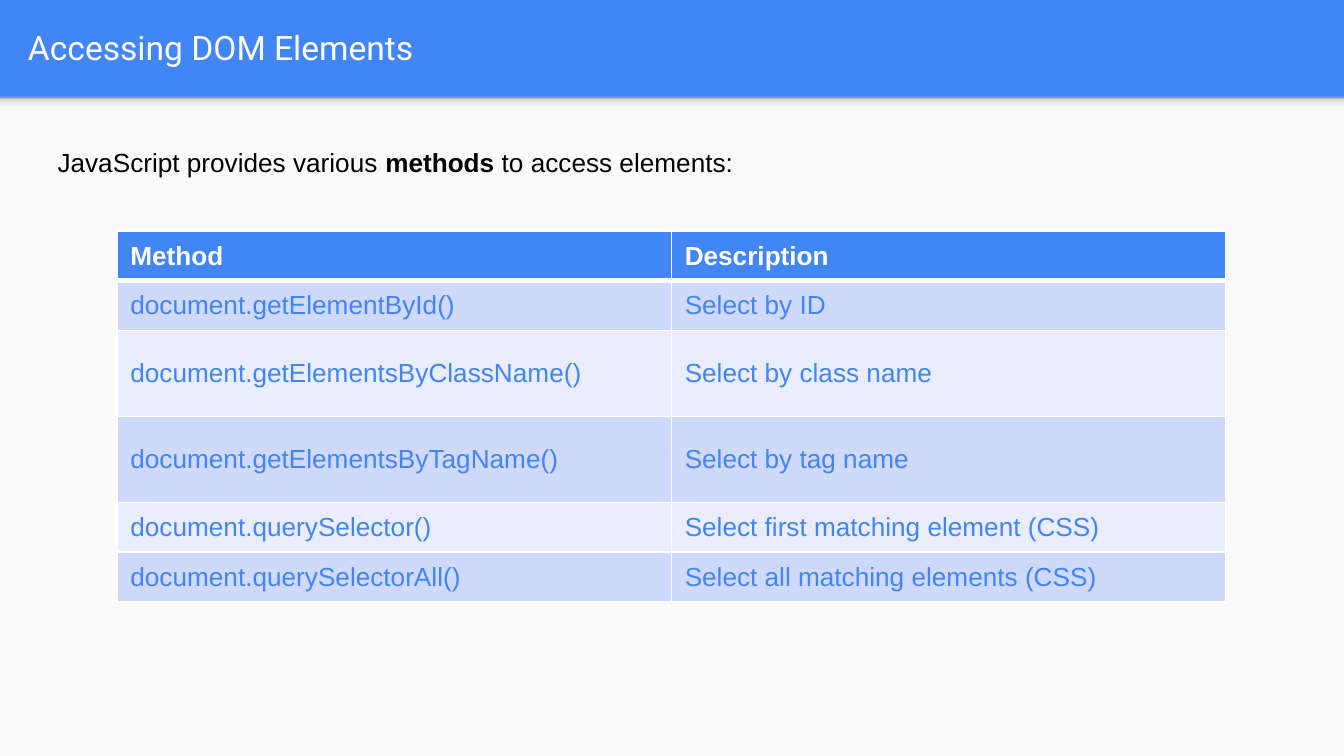
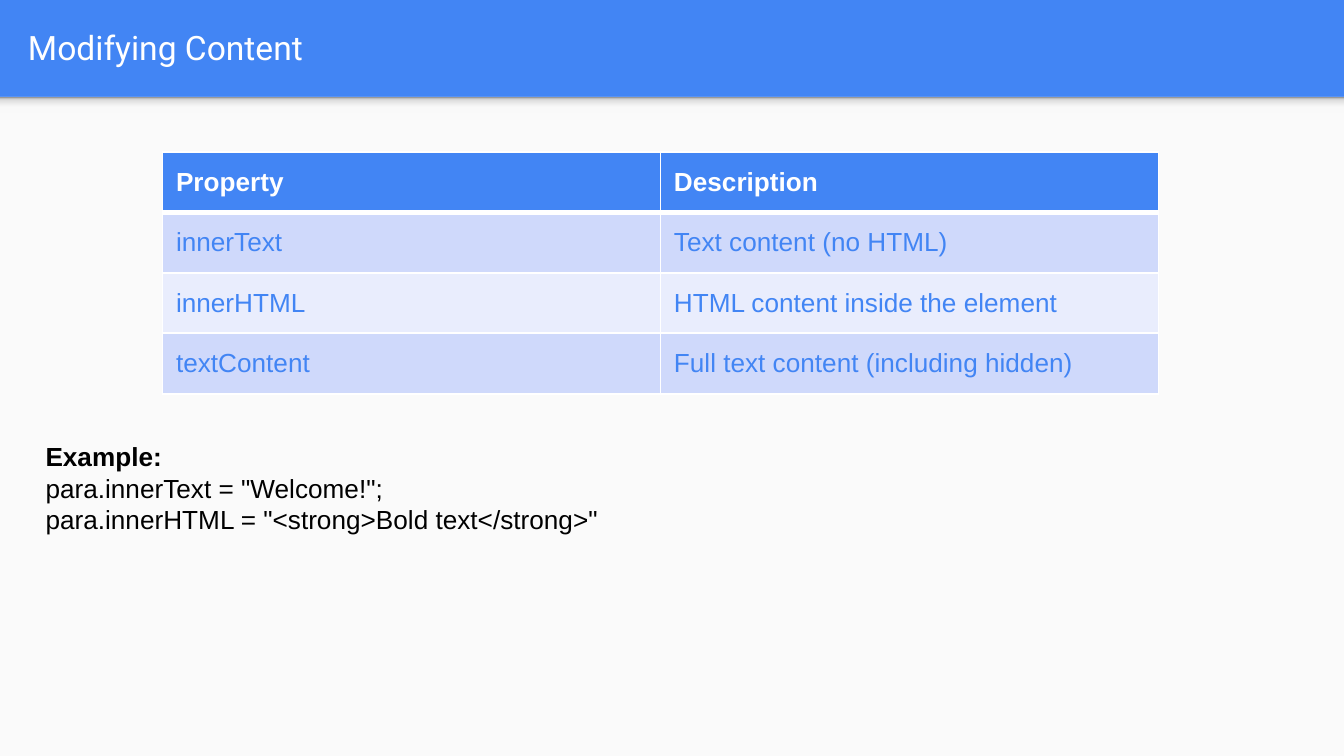
from lxml.etree import SubElement
from pptx import Presentation
from pptx.dml.color import RGBColor
from pptx.enum.shapes import MSO_SHAPE
from pptx.enum.text import MSO_ANCHOR
from pptx.oxml import parse_xml
from pptx.oxml.ns import nsdecls, qn
from pptx.util import Inches, Pt

BLUE = RGBColor(0x42, 0x85, 0xF4)
PAPER = RGBColor(0xFA, 0xFA, 0xFA)
WHITE = RGBColor(0xFF, 0xFF, 0xFF)
BLACK = RGBColor(0, 0, 0)
BAND_DARK = RGBColor(0xCF, 0xD9, 0xFB)
BAND_LIGHT = RGBColor(0xE9, 0xED, 0xFD)
SHADE = [(0, "F9F9F9"), (36, "F9F9F9"), (80, "DEDEDE"), (100, "999999")]

WIDTH = 10
HEIGHT = WIDTH * 9 / 16
HEADER = 0.72
BODY_FONT, TITLE_FONT = "Arial", "Roboto"

SLIDES = [
    {
        "title": "Accessing DOM Elements",
        "text_at": (0.33, 1.04, 9.34, 0.4),
        "text": [[("JavaScript provides various ", False), ("methods", True),
                  (" to access elements:", False)]],
        "table_at": (0.87, 1.72, 8.25),
        "row_heights": [0.37, 0.37, 0.64, 0.64, 0.37, 0.37],
        "rows": [
            ("Method", "Description"),
            ("document.getElementById()", "Select by ID"),
            ("document.getElementsByClassName()", "Select by class name"),
            ("document.getElementsByTagName()", "Select by tag name"),
            ("document.querySelector()", "Select first matching element (CSS)"),
            ("document.querySelectorAll()", "Select all matching elements (CSS)"),
        ],
    },
    {
        "title": "Modifying Content",
        "text_at": (0.24, 3.23, 9.35, 1.06),
        "text": [
            [("Example:", True)],
            [('para.innerText = "Welcome!";', False)],
            [('para.innerHTML = "<strong>Bold text</strong>"', False)],
        ],
        "table_at": (1.21, 1.13, 7.41),
        "row_heights": [0.45] * 4,
        "rows": [
            ("Property", "Description"),
            ("innerText", "Text content (no HTML)"),
            ("innerHTML", "HTML content inside the element"),
            ("textContent", "Full text content (including hidden)"),
        ],
    },
]


def add_run(p, text, color, size=14, font=BODY_FONT, bold=False):
    r = p.add_run()
    r.text = text
    r.font.name = font
    r.font.size = Pt(size)
    r.font.bold = bold
    r.font.color.rgb = color


def add_rect(slide, top, height):
    sp = slide.shapes.add_shape(MSO_SHAPE.RECTANGLE, 0, Inches(top),
                                Inches(WIDTH), Inches(height))
    sp.shadow.inherit = False
    sp.line.fill.background()
    return sp


def add_text_box(slide, at):
    tf = slide.shapes.add_textbox(*map(Inches, at)).text_frame
    tf.word_wrap = True
    return tf


def add_frame(slide, title):
    slide.background.fill.solid()
    slide.background.fill.fore_color.rgb = BLUE
    panel = add_rect(slide, HEADER, HEIGHT - HEADER)
    panel.fill.solid()
    panel.fill.fore_color.rgb = PAPER

    shade = add_rect(slide, HEADER, 0.12)
    shade.fill.gradient()
    shade.fill.gradient_angle = 90
    stops = shade.element.spPr.find(qn("a:gradFill")).find(qn("a:gsLst"))
    for gs in list(stops):
        stops.remove(gs)
    for pos, color in SHADE:
        gs = SubElement(stops, qn("a:gs"), pos=str(pos * 1000))
        SubElement(gs, qn("a:srgbClr"), val=color)

    tf = add_text_box(slide, (0.11, 0.02, 9.65, 0.66))
    tf.margin_top = tf.margin_bottom = Inches(0.1)
    tf.vertical_anchor = MSO_ANCHOR.MIDDLE
    add_run(tf.paragraphs[0], title, WHITE, 18, TITLE_FONT)


def add_text(slide, at, lines):
    tf = add_text_box(slide, at)
    for i, line in enumerate(lines):
        p = tf.add_paragraph() if i else tf.paragraphs[0]
        for text, bold in line:
            add_run(p, text, BLACK, bold=bold)


def set_borders(cell, top, bottom):
    sides = [("lnL", 1), ("lnR", 1), ("lnT", top), ("lnB", bottom)]
    for i, (side, width) in enumerate(sides):
        cell._tc.get_or_add_tcPr().insert(i, parse_xml(
            f'<a:{side} {nsdecls("a")} w="{Pt(width)}"><a:solidFill>'
            f'<a:srgbClr val="{WHITE}"/></a:solidFill></a:{side}>'))


def add_table(slide, at, heights, rows):
    left, top, width = at
    cols = len(rows[0])
    table = slide.shapes.add_table(len(rows), cols, Inches(left), Inches(top),
                                   Inches(width), Inches(sum(heights))).table
    for col in table.columns:
        col.width = Inches(width / cols)
    for i, (height, row) in enumerate(zip(heights, rows)):
        table.rows[i].height = Inches(height)
        head = i == 0
        fill = BLUE if head else BAND_DARK if i % 2 else BAND_LIGHT
        for j, text in enumerate(row):
            cell = table.cell(i, j)
            cell.vertical_anchor = MSO_ANCHOR.MIDDLE
            cell.fill.solid()
            cell.fill.fore_color.rgb = fill
            set_borders(cell, 3 if i == 1 else 1, 3 if head else 1)
            add_run(cell.text_frame.paragraphs[0], text,
                    WHITE if head else BLUE, bold=head)


def main():
    prs = Presentation()
    prs.slide_width, prs.slide_height = Inches(WIDTH), Inches(HEIGHT)
    for content in SLIDES:
        slide = prs.slides.add_slide(prs.slide_layouts[6])
        add_frame(slide, content["title"])
        add_text(slide, content["text_at"], content["text"])
        add_table(slide, content["table_at"], content["row_heights"], content["rows"])
    prs.save("out.pptx")


if __name__ == "__main__":
    main()
